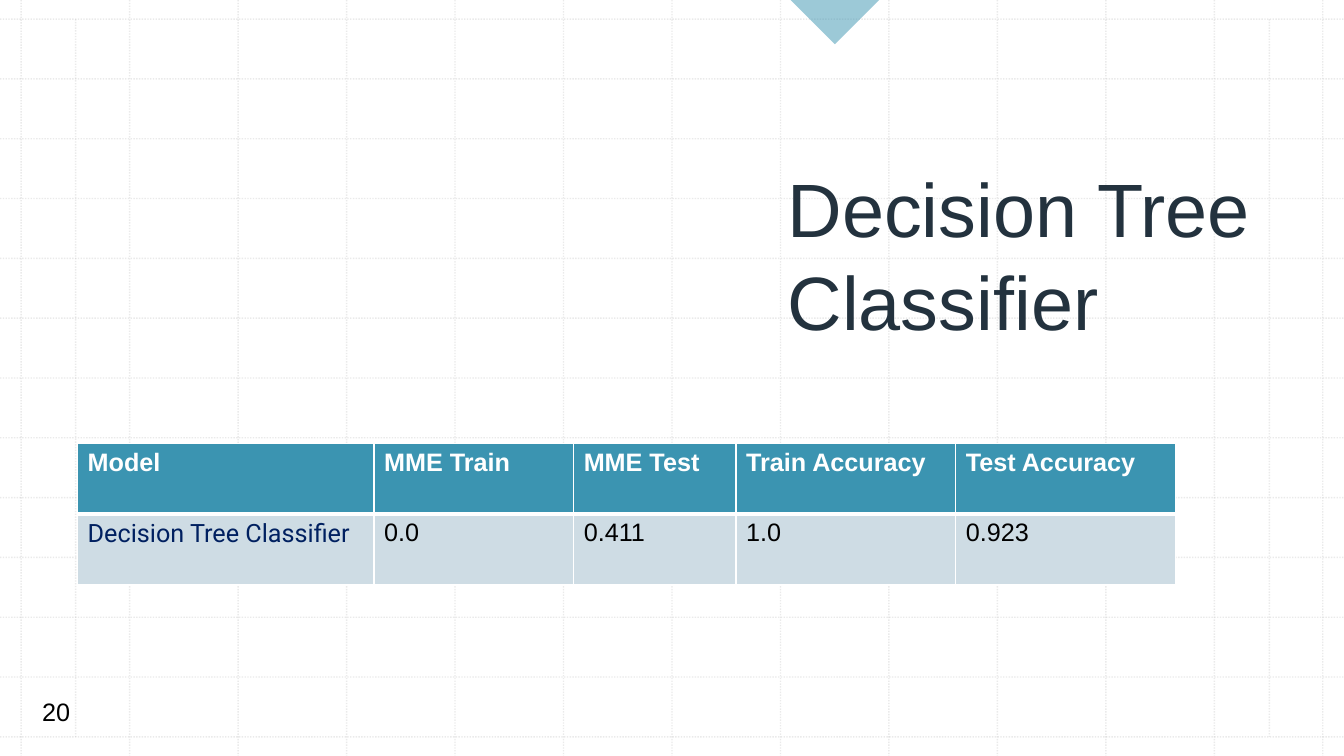
from dataclasses import dataclass

from lxml import etree
from pptx import Presentation
from pptx import util as u
from pptx.dml.color import RGBColor
from pptx.enum import dml, shapes, text
from pptx.oxml import ns


@dataclass(frozen=True)
class Theme:
    accent: str = "3B94B1"
    grid: str = "BCBCBC"
    white: str = "FFFFFF"
    black: str = "000000"
    title: str = "23323E"
    model: str = "002060"
    body_fill: str = "CEDCE4"
    font: str = "Arial"
    model_font: str = "Roboto"
    title_size: int = 54
    text_size: int = 18


@dataclass(frozen=True)
class GridLine:
    x1: float
    y1: float
    x2: float
    y2: float


@dataclass(frozen=True)
class TextStyle:
    color: str
    size: int = Theme.text_size
    font: str = Theme.font
    bold: bool = False


@dataclass(frozen=True)
class Column:
    heading: str
    value: str
    width: float
    value_style: TextStyle


THEME = Theme()
WIDTH, HEIGHT = 13.33, 7.5
GRID_LEFT, GRID_RIGHT = 0.21, 13.12
GRID_TOP, GRID_BOTTOM = 0.19, 7.31
GRID_STEPS = 12
ROW_HEIGHT = 0.7

HEADING = TextStyle(THEME.white, bold=True)
PLAIN = TextStyle(THEME.black)
MODEL = TextStyle(THEME.model, font=THEME.model_font)
COLUMNS = [
    Column("Model", "Decision Tree Classifier", 2.94, MODEL),
    Column("MME Train", "0.0", 1.98, PLAIN),
    Column("MME Test", "0.411", 1.61, PLAIN),
    Column("Train Accuracy", "1.0", 2.18, PLAIN),
    Column("Test Accuracy", "0.923", 2.18, PLAIN),
]


def set_alpha(fill_parent, percent: int) -> None:
    color = fill_parent.find(".//" + ns.qn("a:srgbClr"))
    etree.SubElement(color, ns.qn("a:alpha"), val=str(percent * 1000))


def add_run(paragraph, content: str, style: TextStyle) -> None:
    run = paragraph.add_run()
    run.text = content
    run.font.name = style.font
    run.font.size = u.Pt(style.size)
    run.font.bold = style.bold
    run.font.color.rgb = RGBColor.from_string(style.color)


def grid_lines() -> list[GridLine]:
    step_x = (GRID_RIGHT - GRID_LEFT) / GRID_STEPS
    step_y = (GRID_BOTTOM - GRID_TOP) / GRID_STEPS
    columns = [GRID_LEFT + step_x * i for i in range(GRID_STEPS + 1)]
    rows = [GRID_TOP + step_y * i for i in range(GRID_STEPS + 1)]
    return (
        [GridLine(x, 0, x, HEIGHT) for x in columns]
        + [GridLine(0, y, WIDTH, y) for y in rows]
        + [GridLine(x, GRID_TOP, x, GRID_BOTTOM) for x in (0.75, 12.59)]
    )


def add_grid_line(slide, line: GridLine) -> None:
    connector = slide.shapes.add_connector(
        shapes.MSO_CONNECTOR.STRAIGHT,
        u.Inches(line.x1), u.Inches(line.y1), u.Inches(line.x2), u.Inches(line.y2),
    )
    connector.line.width = u.Pt(1)
    connector.line.color.rgb = RGBColor.from_string(THEME.grid)
    connector.line.dash_style = dml.MSO_LINE.ROUND_DOT
    properties = connector._element.spPr
    set_alpha(properties, 30)
    etree.SubElement(properties, ns.qn("a:effectLst"))


def add_marker(slide) -> None:
    marker = slide.shapes.add_shape(
        shapes.MSO_SHAPE.RIGHT_TRIANGLE,
        u.Inches(7.97), u.Inches(-0.31), u.Inches(0.62), u.Inches(0.62),
    )
    marker.rotation = 315
    marker.shadow.inherit = False
    marker.line.fill.background()
    marker.fill.solid()
    marker.fill.fore_color.rgb = RGBColor.from_string(THEME.accent)
    set_alpha(marker._element.spPr, 50)


def add_title(slide) -> None:
    title = slide.shapes.title
    title.left, title.top = u.Inches(7.74), u.Inches(0.79)
    title.width, title.height = u.Inches(4.83), u.Inches(2.69)
    frame = title.text_frame
    frame.word_wrap = True
    frame.auto_size = text.MSO_AUTO_SIZE.NONE
    frame.vertical_anchor = text.MSO_ANCHOR.BOTTOM
    frame.margin_left = frame.margin_right = u.Inches(0.07)
    paragraph = frame.paragraphs[0]
    paragraph.alignment = text.PP_ALIGN.LEFT
    paragraph.line_spacing = 1.03
    add_run(paragraph, "Decision Tree Classifier", TextStyle(THEME.title, THEME.title_size))


def add_page_number(slide) -> None:
    box = slide.shapes.add_textbox(
        u.Inches(0.32), u.Inches(6.86), u.Inches(0.66), u.Inches(0.4)
    )
    box.text_frame.word_wrap = True
    add_run(box.text_frame.paragraphs[0], "20", PLAIN)


def set_borders(cell, top: int, bottom: int) -> None:
    properties = cell._tc.get_or_add_tcPr()
    sides = {"a:lnL": 1, "a:lnR": 1, "a:lnT": top, "a:lnB": bottom}
    for side, points in sides.items():
        line = etree.SubElement(properties, ns.qn(side), w=str(u.Pt(points)))
        fill = etree.SubElement(line, ns.qn("a:solidFill"))
        etree.SubElement(fill, ns.qn("a:srgbClr"), val=THEME.white)


def fill_cell(cell, content: str, style: TextStyle, fill: str, top: int, bottom: int) -> None:
    set_borders(cell, top, bottom)
    cell.fill.solid()
    cell.fill.fore_color.rgb = RGBColor.from_string(fill)
    add_run(cell.text_frame.paragraphs[0], content, style)


def add_results_table(slide) -> None:
    table = slide.shapes.add_table(
        2, len(COLUMNS), u.Inches(0.77), u.Inches(4.4),
        u.Inches(sum(column.width for column in COLUMNS)), u.Inches(2 * ROW_HEIGHT),
    ).table
    for index, column in enumerate(COLUMNS):
        table.columns[index].width = u.Inches(column.width)
        fill_cell(table.cell(0, index), column.heading, HEADING, THEME.accent, 1, 3)
        fill_cell(table.cell(1, index), column.value, column.value_style, THEME.body_fill, 3, 1)


def main() -> None:
    presentation = Presentation()
    presentation.slide_width = u.Inches(WIDTH)
    presentation.slide_height = u.Inches(HEIGHT)
    slide = presentation.slides.add_slide(presentation.slide_layouts[5])

    # Background grid and marker
    for line in grid_lines():
        add_grid_line(slide, line)
    add_marker(slide)

    # Content, with the title in front of the grid
    title_element = slide.shapes.title._element
    slide.shapes._spTree.append(title_element)
    add_title(slide)
    add_page_number(slide)
    add_results_table(slide)

    presentation.save("out.pptx")


if __name__ == "__main__":
    main()
